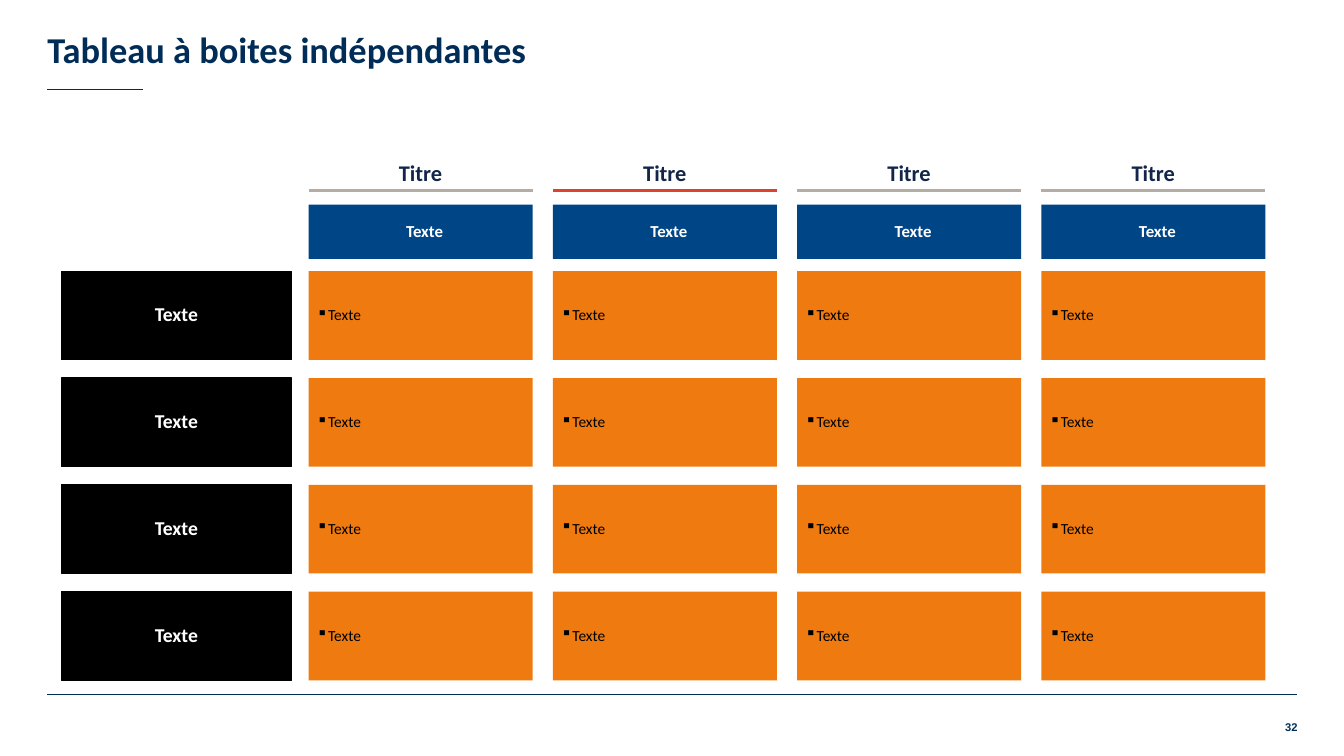
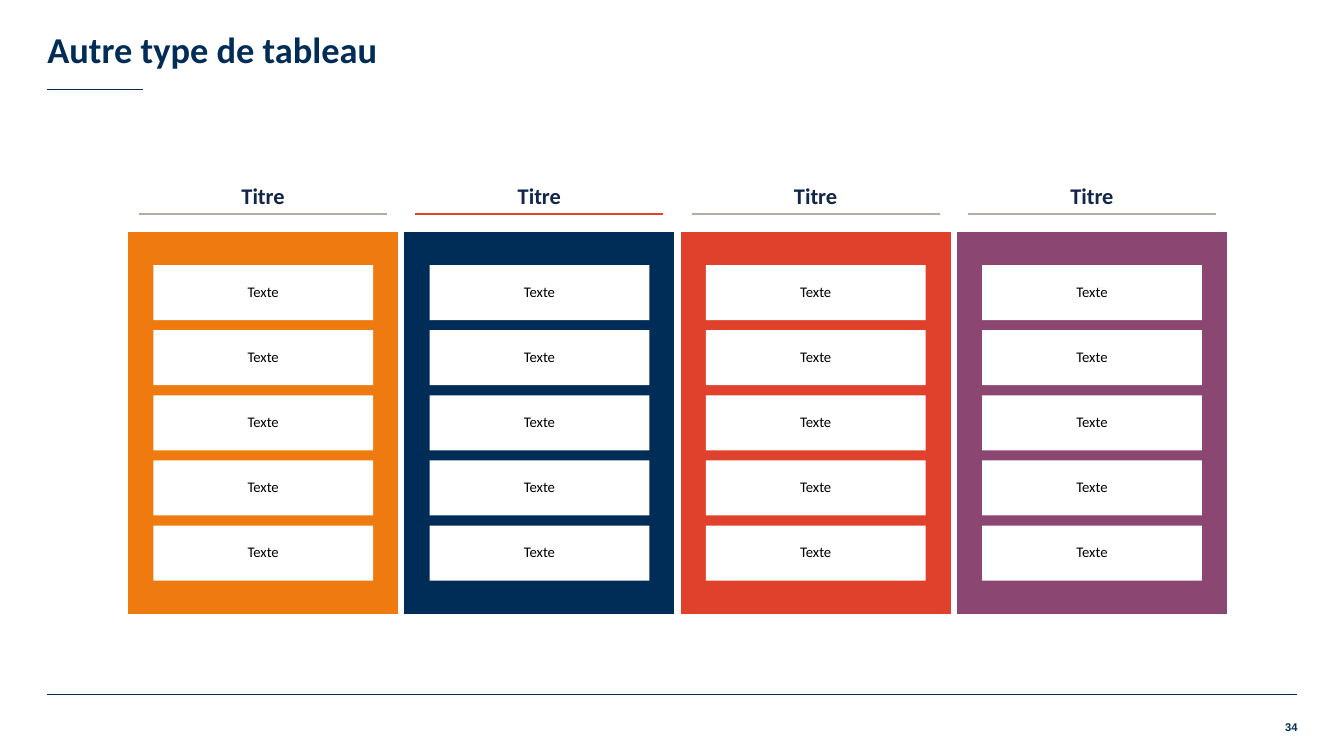
from dataclasses import dataclass

from lxml.etree import SubElement
from pptx import Presentation
from pptx.dml.color import RGBColor
from pptx.enum.shapes import MSO_CONNECTOR, MSO_SHAPE
from pptx.enum.text import MSO_ANCHOR, MSO_AUTO_SIZE, PP_ALIGN
from pptx.oxml.ns import qn
from pptx.util import Inches, Pt


@dataclass(frozen=True)
class Theme:
    """Colours, fonts and type sizes shared by the slides."""
    navy: str = "002C58"
    ink: str = "13264A"
    blue: str = "004687"
    orange: str = "EF7B10"
    red: str = "E0412D"
    plum: str = "8B4771"
    stone: str = "B7ACA4"
    black: str = "000000"
    white: str = "FFFFFF"
    body_font: str = "Calibri"
    number_font: str = "Arial"
    title_size: float = 26
    header_size: float = 16
    label_size: float = 14
    band_size: float = 12
    cell_size: float = 11
    card_size: float = 10.5
    number_size: float = 8
    hairline: float = 0.75
    rule: float = 1.5


@dataclass(frozen=True)
class Box:
    """A rectangle in inches that can be inset or split into a grid."""
    x: float
    y: float
    w: float
    h: float

    def emu(self):
        """Return left, top, width and height as lengths."""
        return [Inches(v) for v in (self.x, self.y, self.w, self.h)]

    def inset(self, dx, dy):
        """Return the box shrunk on every side."""
        return Box(self.x + dx, self.y + dy, self.w - 2 * dx, self.h - 2 * dy)

    def cols(self, n, gap):
        """Split the box into equal columns."""
        w = (self.w - gap * (n - 1)) / n
        return [Box(self.x + i * (w + gap), self.y, w, self.h) for i in range(n)]

    def rows(self, n, gap):
        """Split the box into equal rows."""
        h = (self.h - gap * (n - 1)) / n
        return [Box(self.x, self.y + i * (h + gap), self.w, h) for i in range(n)]


T = Theme()
W, H = 13.33, 7.5
PAGE = Box(0.47, 0, 12.39, H)
HEADER_RULES = (T.stone, T.red, T.stone, T.stone)


def set_attrs(obj, values):
    """Set the attributes of an object from a dict."""
    for name, value in values.items():
        setattr(obj, name, value)


def write(sp, text, size, color, bold=False, align=PP_ALIGN.CENTER,
          anchor=MSO_ANCHOR.MIDDLE, ins=(0, 0, 0, 0), font=T.body_font, spacing=0.9):
    """Put one formatted paragraph in a shape and return it."""
    tf = sp.text_frame
    left, top, right, bottom = (Inches(v) for v in ins)
    set_attrs(tf, dict(word_wrap=True, auto_size=MSO_AUTO_SIZE.NONE, vertical_anchor=anchor,
                       margin_left=left, margin_top=top, margin_right=right, margin_bottom=bottom))
    p = tf.paragraphs[0]
    set_attrs(p, dict(alignment=align, line_spacing=spacing))
    r = p.add_run()
    r.text = text
    set_attrs(r.font, dict(name=font, size=Pt(size), bold=bold))
    r.font.color.rgb = RGBColor.from_string(color)
    return p


def add_bullet(p, char, color, indent):
    """Give a paragraph a hanging bullet."""
    pPr = p._p.get_or_add_pPr()
    pPr.set("marL", str(Inches(indent)))
    pPr.set("indent", str(-Inches(indent)))
    clr = SubElement(pPr, qn("a:buClr"))
    SubElement(clr, qn("a:srgbClr"), val=color)
    SubElement(pPr, qn("a:buChar"), char=char)


def add_rect(s, box, fill, line=None, width=T.hairline):
    """Draw a flat rectangle."""
    sp = s.shapes.add_shape(MSO_SHAPE.RECTANGLE, *box.emu())
    sp.shadow.inherit = False
    sp.fill.solid()
    sp.fill.fore_color.rgb = RGBColor.from_string(fill)
    if line:
        sp.line.color.rgb = RGBColor.from_string(line)
        sp.line.width = Pt(width)
    else:
        sp.line.fill.background()
    return sp


def add_rule(s, x, y, w, color, width):
    """Draw a horizontal line."""
    ln = s.shapes.add_connector(MSO_CONNECTOR.STRAIGHT, Inches(x), Inches(y), Inches(x + w), Inches(y))
    ln.line.color.rgb = RGBColor.from_string(color)
    ln.line.width = Pt(width)
    SubElement(ln._element.spPr, qn("a:effectLst"))


def add_page(prs, title, number):
    """Add a slide with its title, rules and page number."""
    s = prs.slides.add_slide(prs.slide_layouts[5])
    add_rule(s, PAGE.x, 6.89, PAGE.w, T.navy, T.hairline)
    add_rule(s, PAGE.x, 0.89, 0.95, T.navy, T.hairline)
    sp = s.shapes.title
    left, top, width, height = Box(PAGE.x, 0, PAGE.w, 0.73).emu()
    set_attrs(sp, dict(left=left, top=top, width=width, height=height))
    write(sp, title, T.title_size, T.navy, True, PP_ALIGN.LEFT, MSO_ANCHOR.BOTTOM, (0, 0.05, 0.02, 0.02))
    tb = s.shapes.add_textbox(*Box(12.48, 7.15, 0.39, 0.2).emu())
    write(tb, number, T.number_size, T.navy, True, PP_ALIGN.RIGHT, MSO_ANCHOR.TOP,
          font=T.number_font, spacing=1.0)
    return s


def add_headers(s, boxes):
    """Write an underlined heading in each box."""
    for box, color in zip(boxes, HEADER_RULES):
        tb = s.shapes.add_textbox(*box.emu())
        write(tb, "Titre", T.header_size, T.ink, True, anchor=MSO_ANCHOR.BOTTOM, ins=(0, 0, 0, 0.04))
        add_rule(s, box.x, box.y + box.h, box.w, color, T.rule)


def add_box_table(s, box):
    """Lay out row labels, headings, bands and a grid of separate cells."""
    label_w, head_h, band_y, band_h, body_y = 2.28, 0.34, 0.48, 0.54, 1.14
    grid_x = box.x + 2.45
    grid_w = box.x + box.w - grid_x
    body_h = box.h - body_y
    add_headers(s, Box(grid_x, box.y, grid_w, head_h).cols(4, 0.2))
    for band in Box(grid_x, box.y + band_y, grid_w, band_h).cols(4, 0.2):
        write(add_rect(s, band, T.blue), "Texte", T.band_size, T.white, True, ins=(0.08, 0, 0, 0))
    for label in Box(box.x, box.y + body_y, label_w, body_h).rows(4, 0.18):
        write(add_rect(s, label, T.black, T.black), "Texte", T.label_size, T.white, True)
        for cell in Box(grid_x, label.y, grid_w, label.h).cols(4, 0.2):
            p = write(add_rect(s, cell, T.orange), "Texte", T.cell_size, T.black,
                      align=PP_ALIGN.LEFT, ins=(0.08, 0, 0, 0))
            add_bullet(p, "▪", T.black, 0.1)


def add_card_columns(s, box):
    """Lay out headings above coloured panels that hold white cards."""
    head_h, body_y = 0.34, 0.51
    panels = Box(box.x, box.y + body_y, box.w, box.h - body_y).cols(4, 0.04)
    add_headers(s, [Box(b.x, box.y, b.w, head_h).inset(0.12, 0) for b in panels])
    for panel, color in zip(panels, (T.orange, T.navy, T.red, T.plum)):
        add_rect(s, panel, color, T.white, T.rule)
        for card in panel.inset(0.26, 0.34).rows(5, 0.1):
            write(add_rect(s, card, T.white), "Texte", T.card_size, T.black, ins=(0.08, 0.04, 0.08, 0.04))


def main():
    """Build and save the presentation."""
    prs = Presentation()
    set_attrs(prs, dict(slide_width=Inches(W), slide_height=Inches(H)))
    add_box_table(add_page(prs, "Tableau à boites indépendantes", "32"), Box(0.61, 1.55, 11.94, 5.2))
    add_card_columns(add_page(prs, "Autre type de tableau", "34"), Box(1.26, 1.78, 10.92, 4.32))
    prs.save("out.pptx")


if __name__ == "__main__":
    main()
